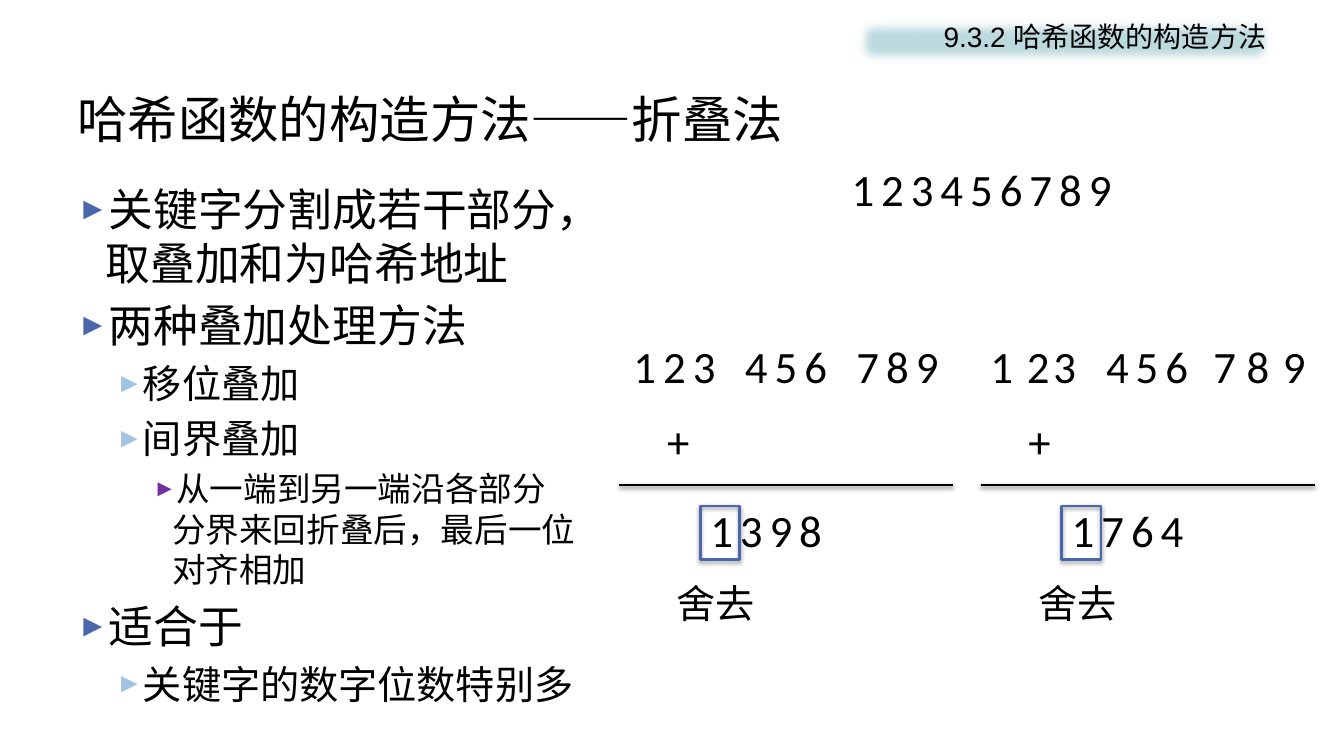
import pptx
import pptx.dml.color
import pptx.enum.shapes
import pptx.enum.text
import pptx.oxml
import pptx.oxml.ns
import pptx.util
from lxml import etree

Cm = pptx.util.Cm
Pt = pptx.util.Pt
RGBColor = pptx.dml.color.RGBColor
Align = pptx.enum.text.PP_ALIGN
Anchor = pptx.enum.text.MSO_ANCHOR
qn = pptx.oxml.ns.qn

BLACK = RGBColor(0x00, 0x00, 0x00)
BLUE = RGBColor(0x4A, 0x66, 0xAC)
SKY = RGBColor(0xA1, 0xC4, 0xE3)
PURPLE = RGBColor(0x70, 0x30, 0xA0)
TEAL = RGBColor(0xBD, 0xDA, 0xDF)

HAN = "Noto Sans CJK SC"
DIGIT = "Calibri"

LEVELS = [
    (32, BLUE, 0.71, 0.71),
    (28, SKY, 1.55, 0.58),
    (24, PURPLE, 2.39, 0.48),
]
POINTS = [
    (0, "关键字分割成若干部分，取叠加和为哈希地址"),
    (0, "两种叠加处理方法"),
    (1, "移位叠加"),
    (1, "间界叠加"),
    (2, "从一端到另一端沿各部分分界来回折叠后，最后一位对齐相加"),
    (0, "适合于"),
    (1, "关键字的数字位数特别多"),
]
SHIFT_PARTS = [(15.6 + 2.81 * i, 2.8, part) for i, part in enumerate(["123", "456", "789"])]
FOLD_PARTS = [
    (24.71, 0.97, "1"),
    (25.63, 0.84, "2"),
    (26.16, 1.35, "3"),
    (27.51, 2.8, "456"),
    (30.33, 1.04, "7"),
    (31.17, 1.04, "8"),
    (32.08, 1.04, "9"),
]
SUMS = [(15.6, SHIFT_PARTS, "1398"), (24.71, FOLD_PARTS, "1764")]


class FoldingSlide:
    def __init__(self, deck):
        self.page = deck.slides.add_slide(deck.slide_layouts[6])

    def span(self, para, text, size, font=HAN, tracking=0):
        span = para.add_run()
        span.text = text
        span.font.size = Pt(size)
        span.font.name = font
        span.font.color.rgb = BLACK
        props = span.font._element
        east = etree.SubElement(props, qn("a:ea"))
        east.set("typeface", HAN)
        if tracking:
            props.set("spc", str(tracking * 100))

    def text(self, place, text, size, font=HAN, tracking=0, align=Align.LEFT,
             anchor=Anchor.TOP):
        box = self.page.shapes.add_textbox(*map(Cm, place))
        frame = box.text_frame
        frame.word_wrap = align != Align.CENTER
        frame.vertical_anchor = anchor
        para = frame.paragraphs[0]
        para.alignment = align
        self.span(para, text, size, font, tracking)
        return box

    def digits(self, place, text, align=Align.LEFT):
        self.text(place, text, 32, DIGIT, 5, align)

    def header(self, place, text):
        box = self.text(place, text, 20, "Arial", align=Align.RIGHT)
        box.fill.solid()
        box.fill.fore_color.rgb = TEAL
        effects = etree.SubElement(box._element.spPr, qn("a:effectLst"))
        etree.SubElement(effects, qn("a:softEdge")).set("rad", str(Pt(8)))

    def bullets(self, place, points):
        frame = self.page.shapes.add_textbox(*map(Cm, place)).text_frame
        frame.word_wrap = True
        for index, (level, text) in enumerate(points):
            size, color, indent, hang = LEVELS[level]
            para = frame.add_paragraph() if index else frame.paragraphs[0]
            para.level = level
            para.space_before = Pt(size * 0.2 if index else 0)
            props = para._p.get_or_add_pPr()
            props.set("marL", str(Cm(indent)))
            props.set("indent", str(-Cm(hang)))
            tint = etree.SubElement(props, qn("a:buClr"))
            etree.SubElement(tint, qn("a:srgbClr")).set("val", str(color))
            etree.SubElement(props, qn("a:buSzPct")).set("val", "70000")
            etree.SubElement(props, qn("a:buFont")).set("typeface", "Arial")
            etree.SubElement(props, qn("a:buChar")).set("char", "►")
            self.span(para, text, size)

    def outline(self, shape, color):
        shape.line.color.rgb = color
        shape.line.width = Pt(2)
        effects = etree.SubElement(shape._element.spPr, qn("a:effectLst"))
        shadow = etree.SubElement(effects, qn("a:outerShdw"))
        shadow.set("blurRad", str(Pt(3.1)))
        shadow.set("dist", str(Pt(1.6)))
        shadow.set("dir", "5400000")
        shadow.set("rotWithShape", "0")
        tint = etree.SubElement(shadow, qn("a:srgbClr"))
        tint.set("val", str(BLACK))
        etree.SubElement(tint, qn("a:alpha")).set("val", "38000")

    def rule(self, left, top, width):
        kind = pptx.enum.shapes.MSO_CONNECTOR.STRAIGHT
        rule = self.page.shapes.add_connector(
            kind, Cm(left), Cm(top), Cm(left + width), Cm(top))
        self.outline(rule, BLACK)

    def frame(self, place):
        kind = pptx.enum.shapes.MSO_SHAPE.RECTANGLE
        frame = self.page.shapes.add_shape(kind, *map(Cm, place))
        frame.fill.background()
        self.outline(frame, BLUE)

    def addition(self, left, parts, total):
        for part_left, width, part in parts:
            self.digits((part_left, 8.41, width, 1.63), part, Align.CENTER)
        self.text((left + 0.96, 10.29, 1.63, 1.63), "+", 32, DIGIT)
        self.rule(left, 12.22, 8.42)
        self.digits((left + 2.05, 12.55, 4.34, 1.63), total)
        self.frame((left + 2.05, 12.75, 0.99, 1.35))
        self.text((left + 1.2, 14.48, 2.59, 1.45), "舍去", 28)


def main():
    deck = pptx.Presentation()
    deck.slide_width = Cm(33.87)
    deck.slide_height = Cm(19.05)
    slide = FoldingSlide(deck)
    slide.text((1.7, 2.03, 30.48, 1.9), "哈希函数的构造方法——折叠法", 36, anchor=Anchor.MIDDLE)
    slide.bullets((1.7, 4.45, 13.06, 12.57), POINTS)
    slide.header((21.49, 0.36, 10.67, 1.37), "9.3.2 哈希函数的构造方法")
    slide.digits((21.21, 3.94, 7.67, 1.63), "123456789")
    for left, parts, total in SUMS:
        slide.addition(left, parts, total)
    deck.save("out.pptx")


if __name__ == "__main__":
    main()
